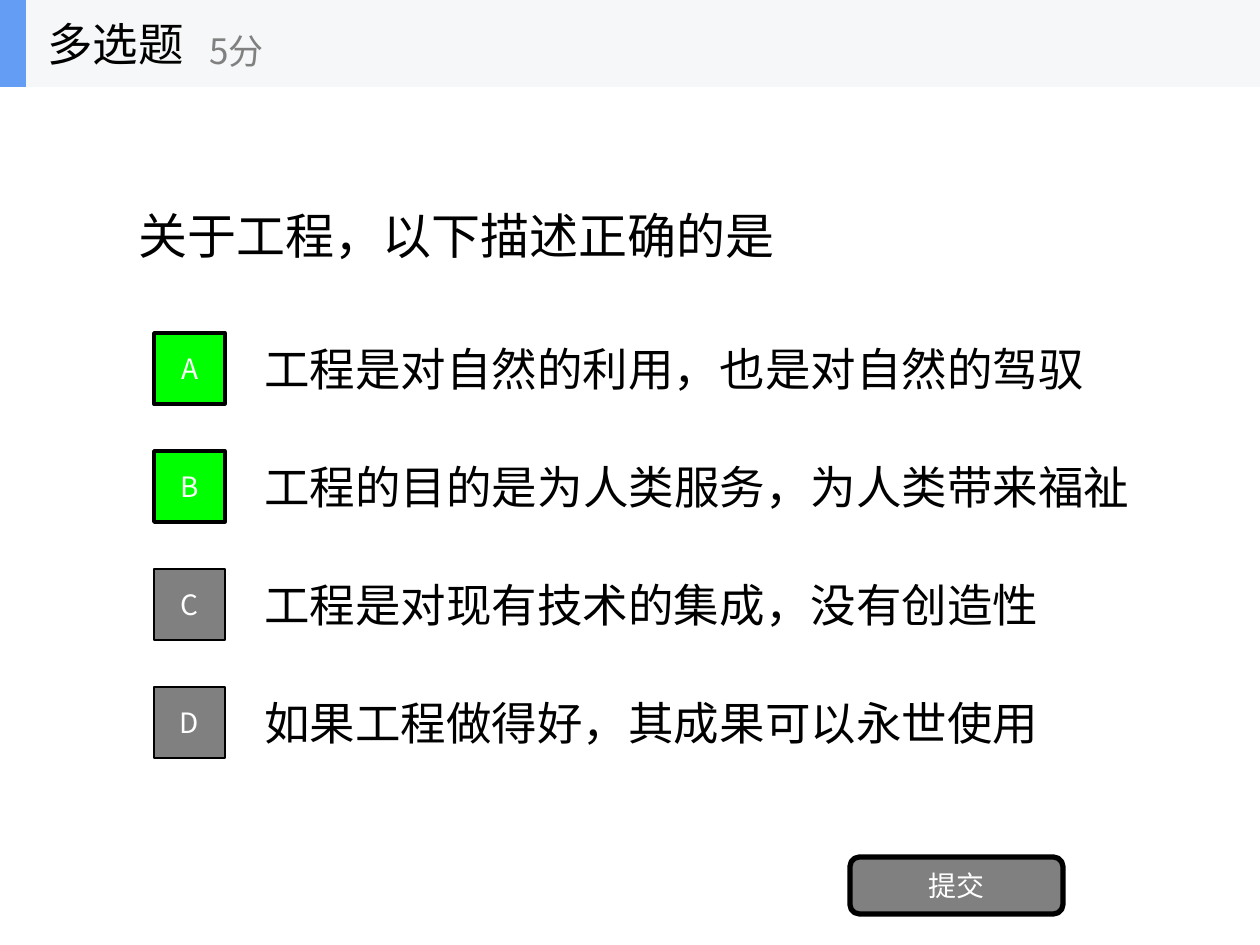
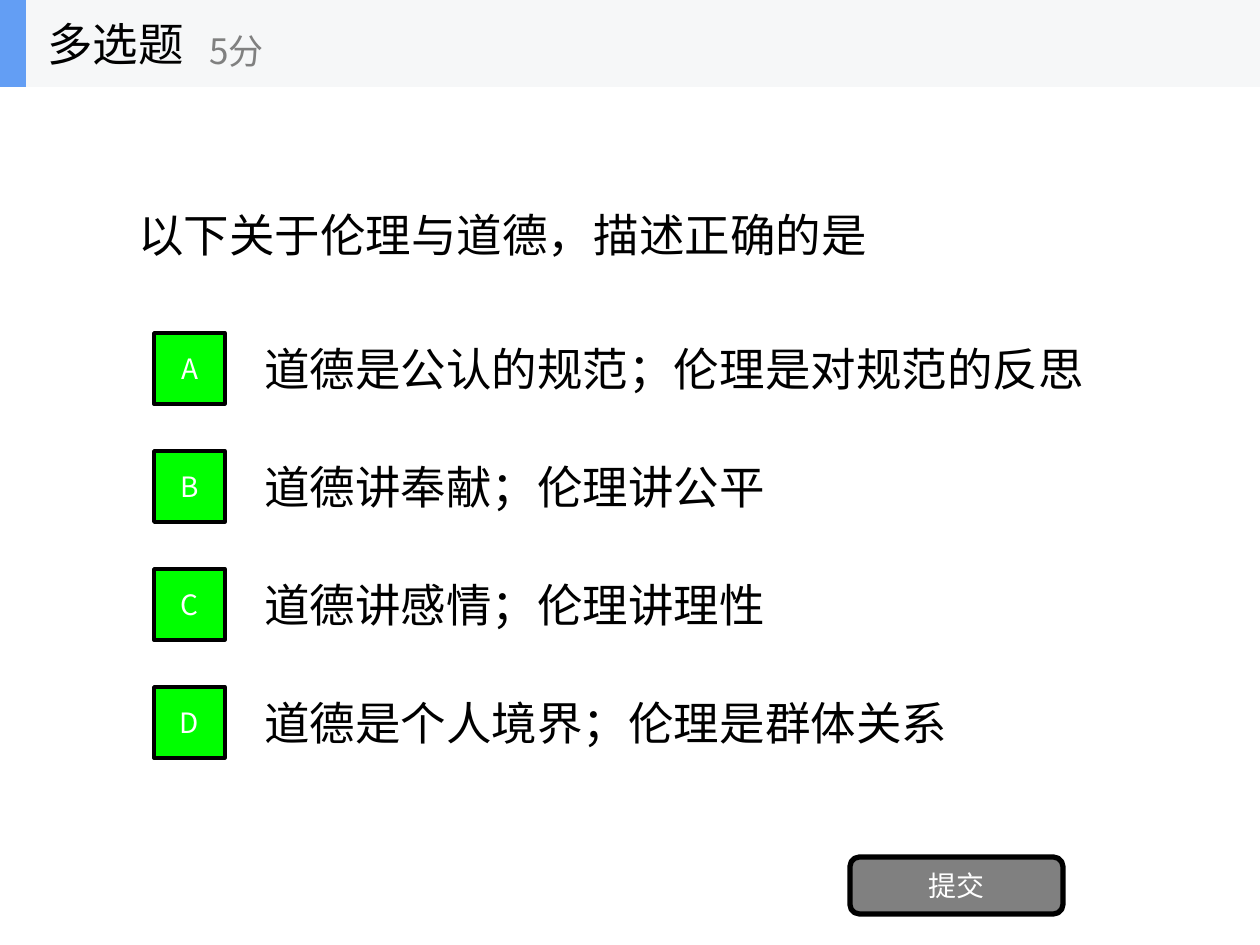
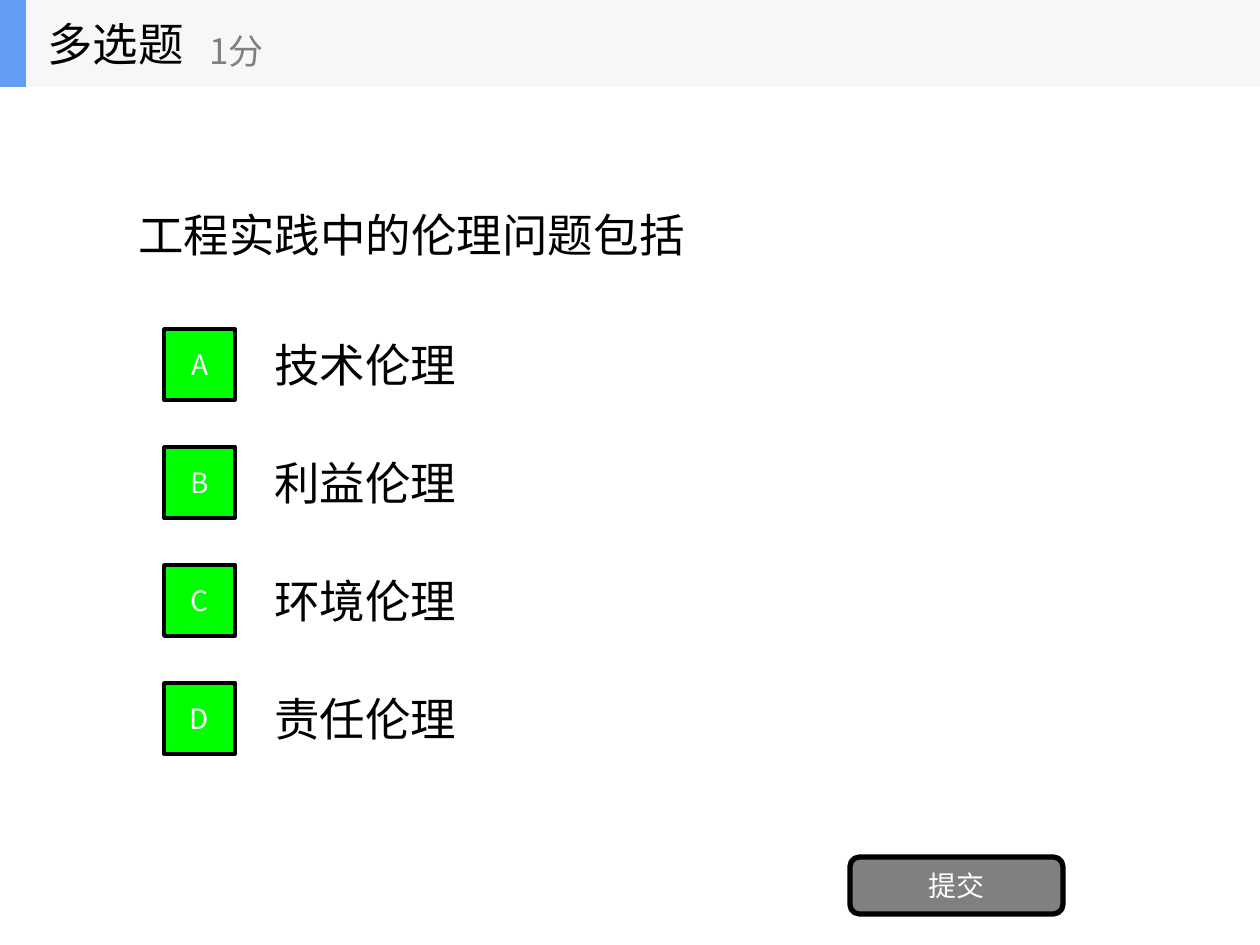
import dataclasses

import lxml.etree
import pptx
import pptx.dml.color
import pptx.enum.shapes
import pptx.enum.text
import pptx.oxml.ns
import pptx.util

SHAPE = pptx.enum.shapes.MSO_SHAPE
ALIGN = pptx.enum.text.PP_ALIGN
EMU_PER_PX = 914400 / 126


@dataclasses.dataclass(frozen=True)
class Theme:
    font: str = "Noto Sans CJK SC"
    black: str = "000000"
    white: str = "FFFFFF"
    grey: str = "808080"
    band: str = "F6F7F8"
    accent: str = "639EF4"
    correct: str = "00FF00"
    large: int = 28
    body: int = 26
    score: int = 20
    label: int = 16


THEME = Theme()


def write(box, text, size, color, align=ALIGN.LEFT):
    """Put one styled line of text, vertically centred, in a box."""
    frame = box.text_frame
    frame.word_wrap = True
    frame.vertical_anchor = pptx.enum.text.MSO_ANCHOR.MIDDLE
    para = frame.paragraphs[0]
    para.text = text
    para.alignment = align
    span = para.runs[0]
    span.font.size = pptx.util.Pt(size)
    span.font.color.rgb = pptx.dml.color.RGBColor.from_string(color)
    span.font.name = THEME.font
    east_asian = lxml.etree.SubElement(span._r.get_or_add_rPr(), pptx.oxml.ns.qn("a:ea"))
    east_asian.set("typeface", THEME.font)


def add_box(shapes, place, kind=None, fill=None, line=0):
    """Add a text box, or a filled shape when a kind is given; place is in px."""
    lengths = [round(length * EMU_PER_PX) for length in place]
    if kind is None:
        return shapes.add_textbox(*lengths)
    box = shapes.add_shape(kind, *lengths)
    box.shadow.inherit = False
    box.fill.solid()
    box.fill.fore_color.rgb = pptx.dml.color.RGBColor.from_string(fill)
    if line:
        box.line.color.rgb = pptx.dml.color.RGBColor.from_string(THEME.black)
        box.line.width = pptx.util.Pt(line)
    else:
        box.line.fill.background()
    return box


# Questions: left and top are those of the first option text
questions = [
    dict(
        score="5分", title="关于工程，以下描述正确的是", title_size=THEME.large,
        left=252, top=324, correct="AB",
        options=["工程是对自然的利用，也是对自然的驾驭",
                 "工程的目的是为人类服务，为人类带来福祉",
                 "工程是对现有技术的集成，没有创造性",
                 "如果工程做得好，其成果可以永世使用"],
    ),
    dict(
        score="5分", title="以下关于伦理与道德，描述正确的是", title_size=THEME.body,
        left=252, top=324, correct="ABCD",
        options=["道德是公认的规范；伦理是对规范的反思",
                 "道德讲奉献；伦理讲公平",
                 "道德讲感情；伦理讲理性",
                 "道德是个人境界；伦理是群体关系"],
    ),
    dict(
        score="1分", title="工程实践中的伦理问题包括", title_size=THEME.body,
        left=262, top=320, correct="ABCD",
        options=["技术伦理", "利益伦理", "环境伦理", "责任伦理"],
    ),
]
ROW_PITCH = 118
LONGEST_NARROW_OPTION = 18

deck = pptx.Presentation()
deck.slide_width = round(1260 * EMU_PER_PX)
deck.slide_height = round(945 * EMU_PER_PX)

for question in questions:
    page = deck.slides.add_slide(deck.slide_layouts[6])
    left, top = question["left"], question["top"]

    # Question and option texts
    title = add_box(page.shapes, (126, 87, 1008, 295))
    write(title, question["title"], question["title_size"], THEME.black)
    for row, text in enumerate(question["options"]):
        width = 951 if len(text) > LONGEST_NARROW_OPTION else 882
        option = add_box(page.shapes, (left, top + row * ROW_PITCH, width, 88))
        write(option, text, THEME.body, THEME.black)

    # Letter squares, green and heavier for correct options
    for row, letter in enumerate("ABCD"):
        fill, line = (THEME.correct, 2) if letter in question["correct"] else (THEME.grey, 1)
        place = (left - 98, top + 9 + row * ROW_PITCH, 71, 71)
        square = add_box(page.shapes, place, SHAPE.RECTANGLE, fill, line)
        write(square, letter, THEME.label, THEME.white, ALIGN.CENTER)

    # Submit button
    button = add_box(page.shapes, (850, 857, 213, 57), SHAPE.ROUNDED_RECTANGLE, THEME.grey, 3)
    write(button, "提交", THEME.label, THEME.white, ALIGN.CENTER)

    # Header band with question type and score
    header = page.shapes.add_group_shape().shapes
    add_box(header, (0, 0, 1260, 87), SHAPE.RECTANGLE, THEME.band)
    add_box(header, (0, 0, 26, 87), SHAPE.RECTANGLE, THEME.accent)
    write(add_box(header, (35, 0, 262, 87)), "多选题", THEME.body, THEME.black)
    write(add_box(header, (197, 15, 315, 71)), question["score"], THEME.score, THEME.grey)

deck.save("out.pptx")
